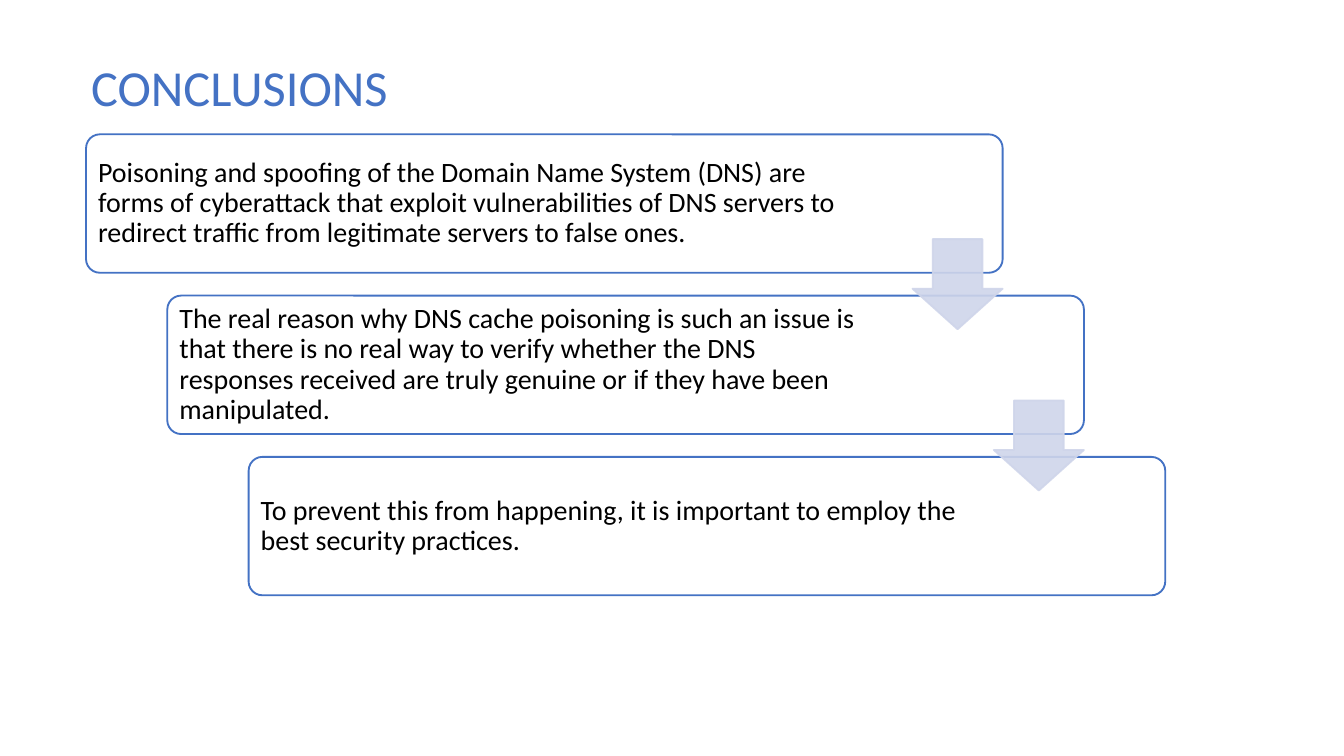
"""Build the conclusions slide: three staggered boxes linked by down arrows."""
from lxml import etree
from pptx import Presentation
from pptx.dml.color import RGBColor
from pptx.enum import shapes, text
from pptx.oxml.ns import qn
from pptx.util import Inches, Pt

HARD_SPACE = chr(160)
TITLE = "CONCLUSIONS"
STEPS = [
    ("Poisoning and spoofing of the Domain Name System (DNS) are forms of cyberattack that exploit "
     "vulnerabilities of DNS servers to redirect traffic from legitimate servers to false ones.", 5.71),
    ("The real reason why DNS cache poisoning is such an issue is that there is no real way to verify "
     f"whether the DNS responses{HARD_SPACE}received are truly genuine or if they have been manipulated.", 5.49),
    ("To prevent this from happening, it is important to employ the best security practices.", 5.49),
]
BLUE, PALE, WHITE, BLACK = "4472C4", "CFD5EA", "FFFFFF", "000000"
LEFT, LAST_LEFT, TOP, WIDTH, HEIGHT = 0.64, 1.85, 1, 6.82, 1.03
STEP_X, STEP_Y = (LAST_LEFT - LEFT) / (len(STEPS) - 1), 1.2
ARROW, ARROW_DROP = 0.67, 0.78
PAD = 0.03


def color(value):
    return RGBColor.from_string(value)


def add_text(page, words, place, size, ink, inset, anchor):
    box = page.shapes.add_textbox(*map(Inches, place))
    frame = box.text_frame
    frame.text = words
    frame.word_wrap = True
    frame.vertical_anchor = anchor
    frame.margin_left = frame.margin_right = Inches(inset)
    frame.margin_top = frame.margin_bottom = Inches(inset)
    para = frame.paragraphs[0]
    font = para.runs[0].font
    font.name, font.size = "Calibri", Pt(size)
    font.color.rgb = color(ink)
    return para


def add_block(page, kind, place, fill, line, adjustments):
    block = page.shapes.add_shape(kind, *map(Inches, place))
    block.shadow.inherit = False
    block.fill.solid()
    block.fill.fore_color.rgb = color(fill)
    block.line.color.rgb = color(line)
    block.line.width = Pt(1)
    for index, value in enumerate(adjustments):
        block.adjustments[index] = value
    return block


def set_opacity(block, percent):
    for tint in block._element.spPr.iter(qn("a:srgbClr")):
        etree.SubElement(tint, qn("a:alpha")).set("val", str(percent * 1000))


def main():
    deck = Presentation()
    deck.slide_width = Inches(10)
    deck.slide_height = deck.slide_width * 9 // 16
    page = deck.slides.add_slide(deck.slide_layouts[6])
    add_text(page, TITLE, (0.58, 0.32, 8.46, 0.89), 27, BLUE, 0.1, text.MSO_ANCHOR.TOP)

    corners = [(LEFT + i * STEP_X, TOP + i * STEP_Y) for i in range(len(STEPS))]
    for (x, y), (words, width) in zip(corners, STEPS):
        add_block(page, shapes.MSO_SHAPE.ROUNDED_RECTANGLE, (x, y, WIDTH, HEIGHT), WHITE, BLUE, [0.1])
        para = add_text(page, words, (x + PAD, y + PAD, width, HEIGHT - 2 * PAD),
                        15, BLACK, 0.06, text.MSO_ANCHOR.MIDDLE)
        para.line_spacing = 0.9

    for x, y in corners[:-1]:
        place = (x + WIDTH - ARROW, y + ARROW_DROP, ARROW, ARROW)
        arrow = add_block(page, shapes.MSO_SHAPE.DOWN_ARROW, place, PALE, PALE, [0.55, 0.45])
        set_opacity(arrow, 90)

    deck.save("out.pptx")


if __name__ == "__main__":
    main()
